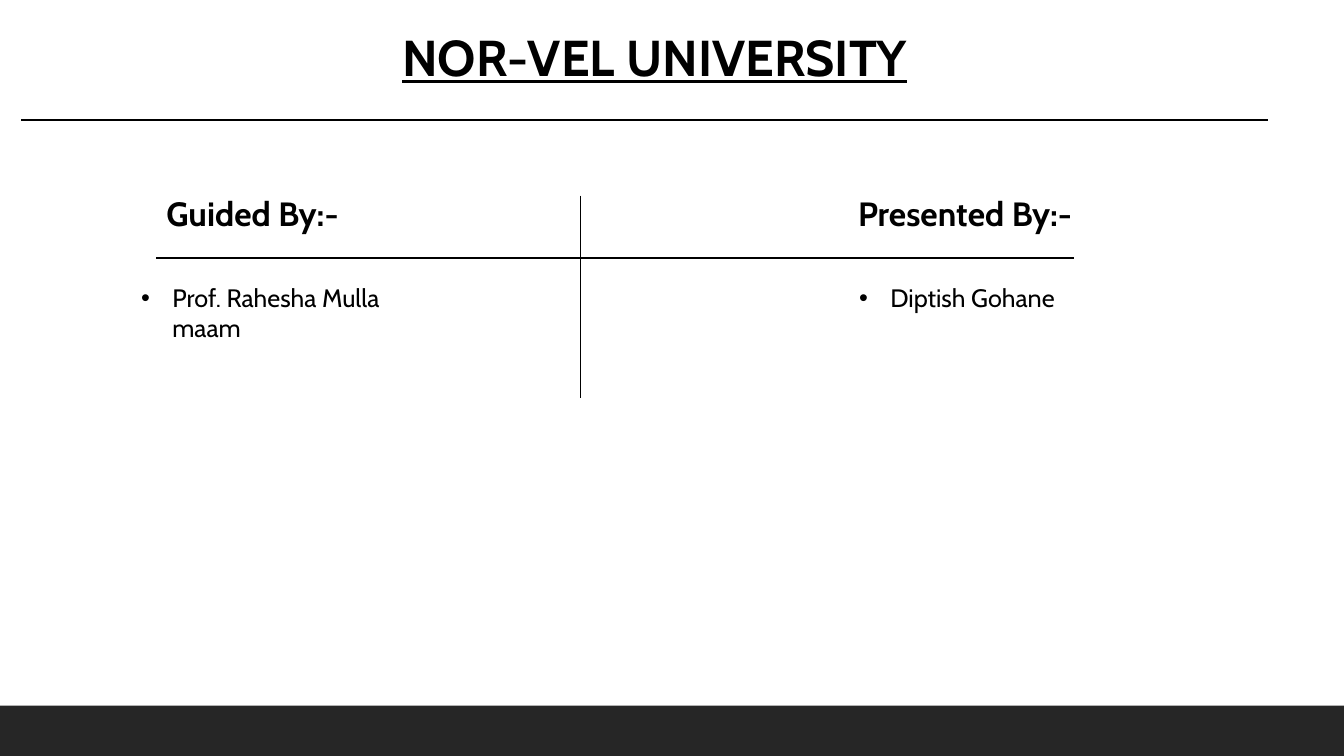
from dataclasses import dataclass

from pptx import Presentation
from pptx.dml.color import RGBColor
from pptx.enum.shapes import MSO_CONNECTOR as Connector, MSO_SHAPE as Shape
from pptx.enum.text import MSO_ANCHOR as Anchor, MSO_AUTO_SIZE as AutoSize, PP_ALIGN as Align
from pptx.oxml.ns import qn
from pptx.slide import Slide
from pptx.util import Inches, Pt
from lxml.etree import SubElement

BLACK = RGBColor(0x00, 0x00, 0x00)
WHITE = RGBColor(0xFF, 0xFF, 0xFF)
CHARCOAL = RGBColor(0x26, 0x26, 0x26)
FONT = "Cabin"
HANGING = Inches(0.31)


@dataclass
class TextBlock:
    idx: int
    text: str
    left: float
    top: float
    width: float
    height: float
    size: int
    bold: bool = False
    underline: bool = False
    bullet: bool = False


@dataclass
class Rule:
    x1: float
    y1: float
    x2: float
    y2: float


# idx is the placeholder number in the Comparison layout
BLOCKS = [
    TextBlock(0, "NOR-VEL UNIVERSITY", 3.89, 0.21, 5.55, 0.71, 36, bold=True, underline=True),
    TextBlock(1, "Guided By:-", 1.55, 1.86, 2.67, 0.5, 24, bold=True),
    TextBlock(3, "Presented By:-", 8.41, 1.86, 2.67, 0.5, 24, bold=True),
    TextBlock(2, "Prof. Rahesha Mulla maam", 1.3, 2.75, 3.17, 0.71, 18, bullet=True),
    TextBlock(4, "Diptish Gohane", 8.42, 2.75, 3.17, 0.4, 18, bullet=True),
]
RULES = [
    Rule(0.21, 1.19, 12.58, 1.19),
    Rule(5.76, 1.94, 5.76, 3.95),
    Rule(1.55, 2.56, 10.65, 2.56),
]


def add_footer_band(s: Slide) -> None:
    sp = s.shapes.add_shape(Shape.RECTANGLE, 0, Inches(7), Inches(13.33), Inches(0.5))
    sp.shadow.inherit = False
    sp.fill.solid()
    sp.fill.fore_color.rgb = CHARCOAL
    sp.line.fill.background()


def fill_block(s: Slide, block: TextBlock) -> None:
    sp = next(ph for ph in s.placeholders if ph.placeholder_format.idx == block.idx)
    sp.left, sp.top = Inches(block.left), Inches(block.top)
    sp.width, sp.height = Inches(block.width), Inches(block.height)
    tf = sp.text_frame
    tf.text = block.text
    tf.word_wrap = True
    tf.auto_size = AutoSize.NONE
    tf.vertical_anchor = Anchor.TOP
    p = tf.paragraphs[0]
    p.alignment = Align.LEFT
    p.space_before = Pt(0)
    if block.bullet:
        set_bullet(p)
    font = p.runs[0].font
    font.name, font.size = FONT, Pt(block.size)
    font.bold, font.underline = block.bold, block.underline
    font.color.rgb = BLACK


def set_bullet(p) -> None:
    """Give the paragraph a round bullet with a hanging indent."""
    pPr = p._p.get_or_add_pPr()
    pPr.set("marL", str(HANGING))
    pPr.set("indent", str(-HANGING))
    SubElement(pPr, qn("a:buFont"), typeface="Arial")
    SubElement(pPr, qn("a:buChar"), char="•")


def add_rule(s: Slide, rule: Rule) -> None:
    line = s.shapes.add_connector(Connector.STRAIGHT, Inches(rule.x1), Inches(rule.y1),
                                  Inches(rule.x2), Inches(rule.y2))
    line.line.color.rgb = BLACK
    line.line.width = Pt(1)
    SubElement(line._element.spPr, qn("a:effectLst"))


def main() -> None:
    prs = Presentation()
    prs.slide_width, prs.slide_height = Inches(13.33), Inches(7.5)
    s = prs.slides.add_slide(prs.slide_layouts.get_by_name("Comparison"))
    s.background.fill.solid()
    s.background.fill.fore_color.rgb = WHITE
    add_footer_band(s)
    for block in BLOCKS:
        fill_block(s, block)
    for rule in RULES:
        add_rule(s, rule)
    prs.save("out.pptx")


if __name__ == "__main__":
    main()
